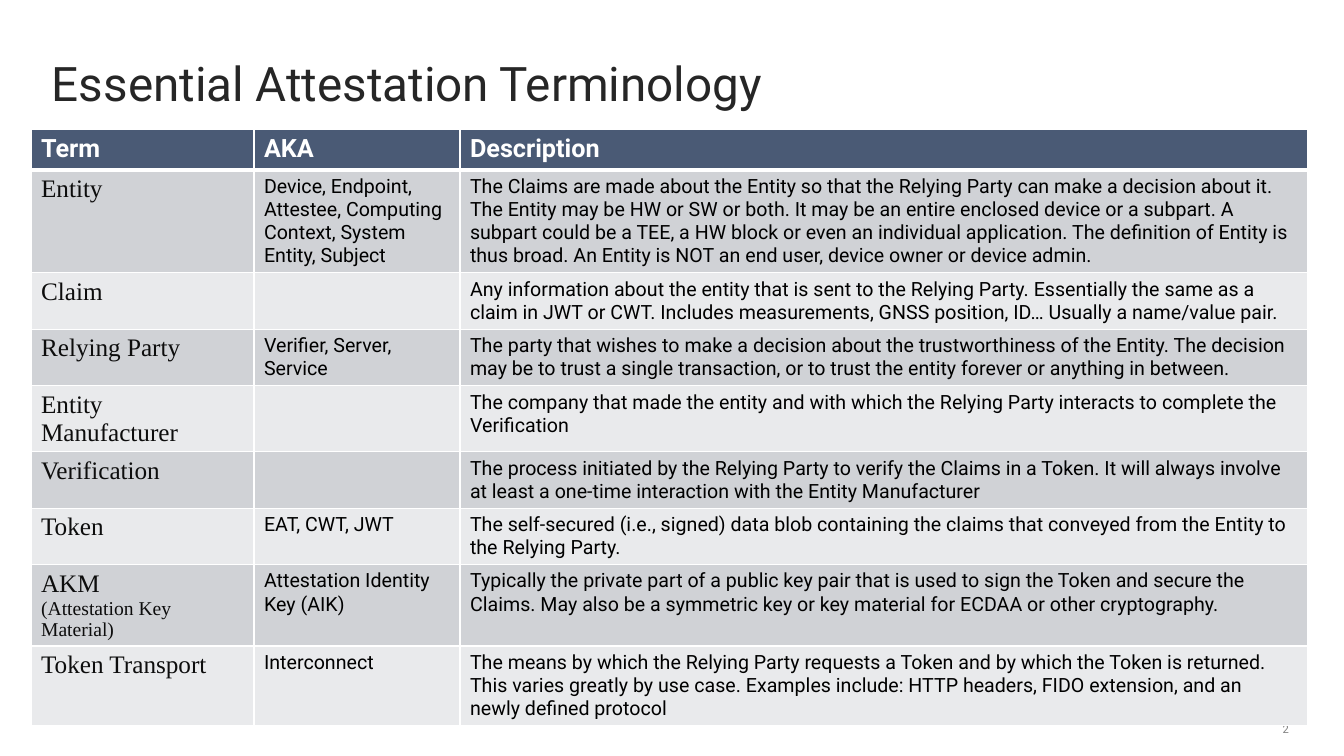
from lxml import etree
from pptx import Presentation
from pptx import util as u
from pptx.dml.color import RGBColor
from pptx.enum import text
from pptx.oxml import ns

SANS, SERIF = "Roboto", "Times New Roman"
WHITE, INK, BLACK = "FFFFFF", "0D0D0D", "000000"
HEADER_FILL, BAND_FILLS = "4A5A75", ("D0D2D6", "E9EAEC")
HEADERS = ("Term", "AKA", "Description")
TERMS = [
    ("Entity", "Device, Endpoint, Attestee, Computing Context, System Entity, Subject",
     "The Claims are made about the Entity so that the Relying Party can make a decision about it. "
     "The Entity may be HW or SW or both. It may be an entire enclosed device or a subpart. "
     "A subpart could be a TEE, a HW block or even an individual application. "
     "The definition of Entity is thus broad. "
     "An Entity is NOT an end user, device owner or device admin."),
    ("Claim", "",
     "Any information about the entity that is sent to the Relying Party. "
     "Essentially the same as a claim in JWT or CWT. "
     "Includes measurements, GNSS position, ID… Usually a name/value pair."),
    ("Relying Party", "Verifier, Server, Service",
     "The party that wishes to make a decision about the trustworthiness of the Entity. "
     "The decision may be to trust a single transaction, or to trust the entity forever "
     "or anything in between."),
    ("Entity Manufacturer", "",
     "The company that made the entity and with which the Relying Party interacts "
     "to complete the Verification"),
    ("Verification", "",
     "The process initiated by the Relying Party to verify the Claims in a Token. "
     "It will always involve at least a one-time interaction with the Entity Manufacturer"),
    ("Token", "EAT, CWT, JWT",
     "The self-secured (i.e., signed) data blob containing the claims that conveyed "
     "from the Entity to the Relying Party."),
    ("AKM\n(Attestation Key Material)", "Attestation Identity Key (AIK)",
     "Typically the private part of a public key pair that is used to sign the Token "
     "and secure the Claims. May also be a symmetric key or key material for ECDAA "
     "or other cryptography."),
    ("Token Transport", "Interconnect",
     "The means by which the Relying Party requests a Token and by which the Token is returned. "
     "This varies greatly by use case. Examples include: HTTP headers, FIDO extension, "
     "and an newly defined protocol"),
]


def px(count):
    return u.Emu(round(count * 914400 / 100.8))


def color(value):
    return RGBColor.from_string(value)


def write(para, words, size=14, font=SANS, ink=BLACK, bold=False, align=None, spacing=None):
    span = para.add_run()
    span.text = words
    span.font.size = u.Pt(size)
    span.font.name = font
    span.font.bold = bold
    span.font.color.rgb = color(ink)
    para.alignment = align
    para.line_spacing = spacing


class TermSheet:
    """Builds the terminology slide in one consistent style."""

    def __init__(self, deck):
        self.page = deck.slides.add_slide(deck.slide_layouts[5])

    def frame(self, box, anchor):
        frame = box.text_frame
        frame.margin_left = frame.margin_top = frame.margin_right = frame.margin_bottom = 0
        frame.word_wrap = True
        frame.auto_size = text.MSO_AUTO_SIZE.NONE
        frame.vertical_anchor = anchor
        return frame.paragraphs[0]

    def number(self, words, *place):
        box = self.page.shapes.add_textbox(*map(px, place))
        para = self.frame(box, text.MSO_ANCHOR.MIDDLE)
        write(para, words, size=8, ink="808080", align=text.PP_ALIGN.RIGHT, spacing=1.25)

    def title(self, words, *place):
        box = self.page.shapes.title
        box.left, box.top, box.width, box.height = map(px, place)
        para = self.frame(box, text.MSO_ANCHOR.BOTTOM)
        write(para, words, size=34, ink="262626", align=text.PP_ALIGN.LEFT, spacing=0.82)

    def cell(self, cell, words, fill, bottom=1, **style):
        cell.fill.solid()
        cell.fill.fore_color.rgb = color(fill)
        self.borders(cell, bottom)
        for index, line in enumerate(words.split("\n") if words else []):
            frame = cell.text_frame
            para = frame.add_paragraph() if index else frame.paragraphs[0]
            write(para, line, **(style | {"size": 14} if index else style))

    def borders(self, cell, bottom):
        properties = cell._tc.get_or_add_tcPr()
        for index, (side, points) in enumerate(zip("LRTB", (1, 1, 1, bottom))):
            line = etree.Element(ns.qn(f"a:ln{side}"), w=str(u.Pt(points)))
            paint = etree.SubElement(line, ns.qn("a:solidFill"))
            etree.SubElement(paint, ns.qn("a:srgbClr"), val=WHITE)
            properties.insert(index, line)

    def table(self, left, top, widths, row_height, height):
        holder = self.page.shapes.add_table(
            len(TERMS) + 1, len(widths), *map(px, (left, top, sum(widths), height)))
        table = holder.table
        for column, width in zip(table.columns, widths):
            column.width = px(width)
        for row in table.rows:
            row.height = px(row_height)
        holder.height = px(height)
        for column, words in enumerate(HEADERS):
            self.cell(table.cell(0, column), words, HEADER_FILL, bottom=3,
                      size=18, ink=WHITE, bold=True)
        for row, term in enumerate(TERMS):
            for column, words in enumerate(term):
                style = {} if column else {"size": 18, "font": SERIF, "ink": INK}
                self.cell(table.cell(row + 1, column), words, BAND_FILLS[row % 2], **style)


def main():
    deck = Presentation()
    deck.slide_width, deck.slide_height = px(1344), px(756)
    sheet = TermSheet(deck)
    sheet.number("2", 1210, 720, 79, 15)
    sheet.title("Essential Attestation Terminology", 52, 64, 1236, 47)
    sheet.table(31, 129, (223, 206, 848), 41, 612)
    deck.save("out.pptx")


if __name__ == "__main__":
    main()
